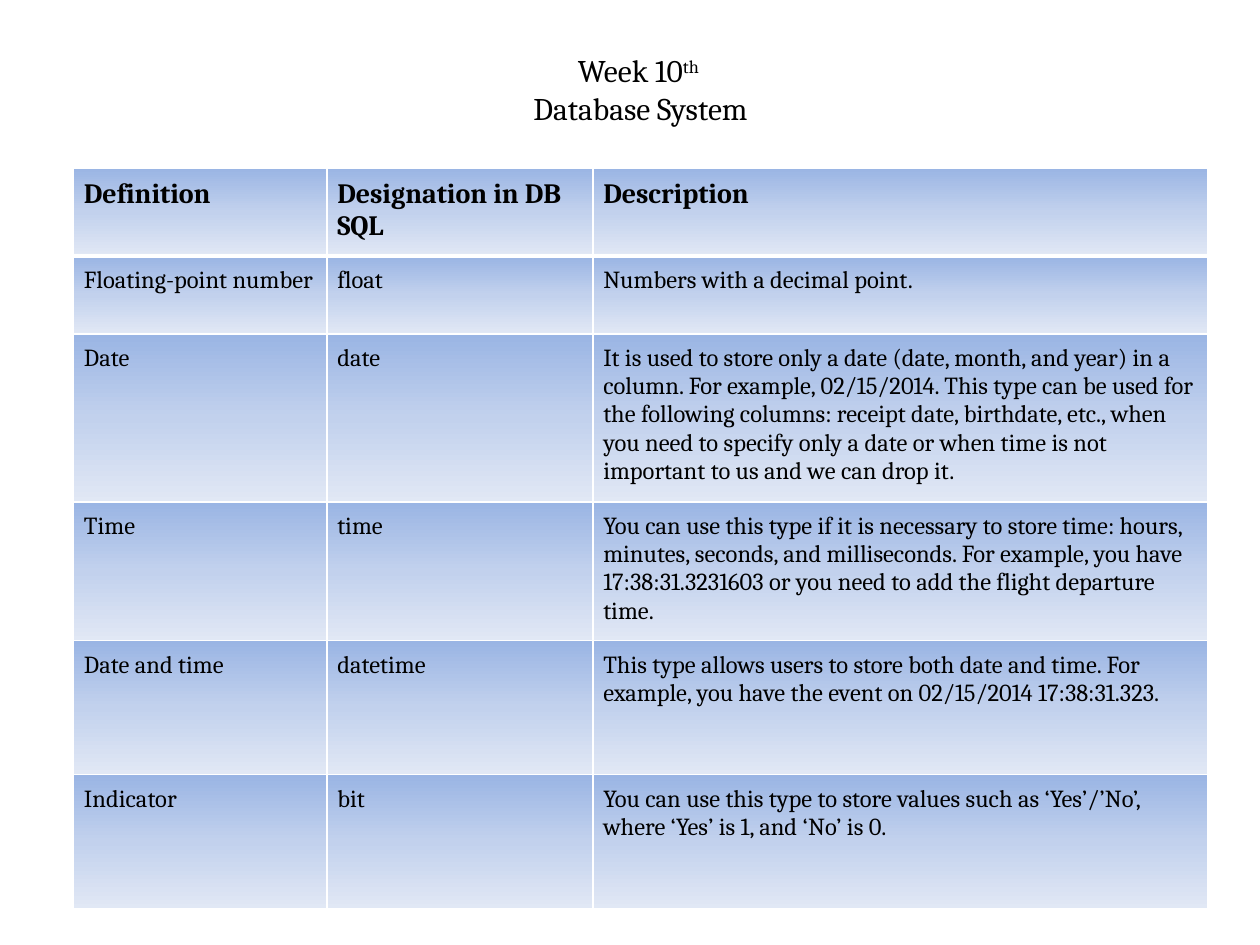
from lxml.etree import SubElement
from pptx import Presentation
from pptx.dml.color import RGBColor
from pptx.enum.text import MSO_ANCHOR as Anchor, PP_ALIGN as Align
from pptx.oxml.ns import qn
from pptx.util import Pt

COLORS = {"text": "000000", "border": "FFFFFF", "top": "9AB5E4", "middle": "C2D1ED", "bottom": "E1E8F5"}
FONT = "Cambria"
TITLE_BOX = (60, 24, 612, 54)
TABLE_BOX = (42, 96, 648, 413.5)
COLUMN_WIDTHS = (144.75, 152, 351.25)
ROW_HEIGHTS = (48, 44.5, 91.5, 76.5, 76.5, 76.5)
ROWS = (
    ("Definition", "Designation in DB SQL", "Description"),
    ("Floating-point number", "float", "Numbers with a decimal point."),
    ("Date", "date",
     "It is used to store only a date (date, month, and year) in a column. For example, 02/15/2014. "
     "This type can be used for the following columns: receipt date, birthdate, etc., when you need "
     "to specify only a date or when time is not important to us and we can drop it."),
    ("Time", "time",
     "You can use this type if it is necessary to store time: hours, minutes, seconds, and "
     "milliseconds. For example, you have 17:38:31.3231603 or you need to add the flight departure time."),
    ("Date and time", "datetime",
     "This type allows users to store both date and time. For example, you have the event on "
     "02/15/2014 17:38:31.323."),
    ("Indicator", "bit",
     "You can use this type to store values such as ‘Yes’/’No’, where ‘Yes’ is 1, and ‘No’ is 0."),
)


def set_all(target, values):
    for name, value in values.items():
        setattr(target, name, value)


def add_span(para, text, size, bold=False):
    span = para.add_run()
    span.text = text
    set_all(span.font, {"name": FONT, "size": Pt(size), "bold": bold})
    span.font.color.rgb = RGBColor.from_string(COLORS["text"])
    return span


def add_color(parent, color):
    SubElement(parent, qn("a:srgbClr"), val=COLORS[color])


def add_borders(cell, widths):
    properties = cell._tc.get_or_add_tcPr()
    for side, width in zip("LRTB", widths):
        line = SubElement(properties, qn(f"a:ln{side}"), w=str(Pt(width)))
        add_color(SubElement(line, qn("a:solidFill")), "border")


def add_gradient(cell):
    gradient = SubElement(cell._tc.get_or_add_tcPr(), qn("a:gradFill"), rotWithShape="1")
    stops = SubElement(gradient, qn("a:gsLst"))
    for index, color in enumerate(("top", "middle", "bottom")):
        add_color(SubElement(stops, qn("a:gs"), pos=str(index * 50000)), color)
    SubElement(gradient, qn("a:lin"), ang="5400000", scaled="0")


def add_title(page, box):
    frame = page.shapes.add_textbox(*map(Pt, box)).text_frame
    set_all(frame, {"word_wrap": True, "vertical_anchor": Anchor.MIDDLE})
    para = frame.paragraphs[0]
    para.alignment = Align.CENTER
    add_span(para, "Week 10", 18)
    ordinal = add_span(para, "th ", 18)
    ordinal._r.get_or_add_rPr().set("baseline", "30000")
    para.add_line_break()
    add_span(para, "Database System", 18)


def add_type_table(page, box):
    table = page.shapes.add_table(len(ROWS), len(COLUMN_WIDTHS), *map(Pt, box)).table
    for column, width in zip(table.columns, COLUMN_WIDTHS):
        column.width = Pt(width)
    for index, (row, height, texts) in enumerate(zip(table.rows, ROW_HEIGHTS, ROWS)):
        row.height = Pt(height)
        header = index == 0
        borders = (1, 1, 3 if index == 1 else 1, 3 if header else 1)
        for cell, text in zip(row.cells, texts):
            set_all(cell, {f"margin_{side}": Pt(6) for side in ("left", "right", "top", "bottom")})
            add_span(cell.text_frame.paragraphs[0], text, 16 if header else 14, header)
            add_borders(cell, borders)
            add_gradient(cell)


def main():
    deck = Presentation()
    set_all(deck, {"slide_width": Pt(720), "slide_height": Pt(540)})
    page = deck.slides.add_slide(deck.slide_layouts[6])
    add_title(page, TITLE_BOX)
    add_type_table(page, TABLE_BOX)
    deck.save("out.pptx")


if __name__ == "__main__":
    main()
